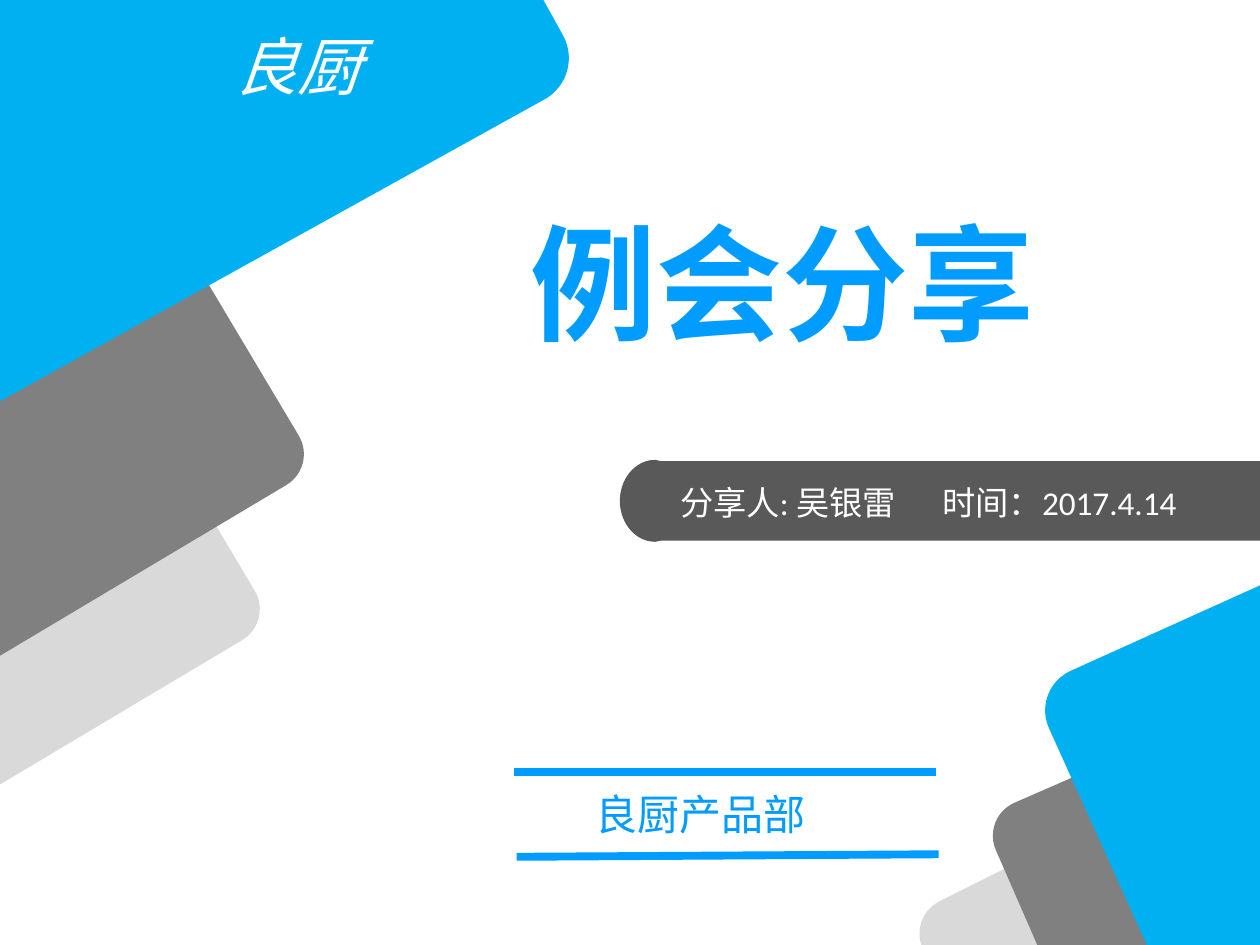
"""Build the opening slide of a team meeting deck."""
import math

from lxml import etree
from pptx import Presentation
from pptx import util as u
from pptx.dml.color import RGBColor
from pptx.enum import shapes, text
from pptx.oxml.ns import qn

COLOURS = {"sky": "00B0F0", "blue": "009CFF", "grey": "808080",
           "pale": "D9D9D9", "dark": "595959", "white": "FFFFFF"}
LATIN, CHINESE = "Calibri", "Noto Sans CJK SC"


def paint(shape, colour):
    """Give a shape a plain fill without outline or shadow."""
    shape.shadow.inherit = False
    shape.fill.solid()
    shape.fill.fore_color.rgb = RGBColor.from_string(COLOURS[colour])
    shape.line.fill.background()


def add_text(slide, box, words, size, colour, bold=False, italic=False, indent=0):
    """Place one line of text in a box and return its paragraph."""
    textbox = slide.shapes.add_textbox(*map(u.Inches, box))
    frame = textbox.text_frame
    frame.word_wrap = True
    frame.margin_top = frame.margin_bottom = frame.margin_right = u.Inches(0.05)
    frame.margin_left = u.Inches(0.05 + indent)
    frame.text = words
    paragraph = frame.paragraphs[0]
    for run in paragraph.runs:
        font = run.font
        font.size, font.bold, font.italic = u.Pt(size), bold, italic
        font.name = LATIN
        font.color.rgb = RGBColor.from_string(COLOURS[colour])
        etree.SubElement(font._element, qn("a:ea"), typeface=CHINESE)
    return paragraph


def add_tiles(slide, tiles):
    """Draw tilted rounded tiles from back to front."""
    for left, top, width, height, angle, colour in tiles:
        tile = slide.shapes.add_shape(shapes.MSO_SHAPE.ROUNDED_RECTANGLE,
                                      *map(u.Inches, (left, top, width, height)))
        tile.adjustments[0] = 0.111
        tile.rotation = angle
        paint(tile, colour)


def add_presenter_bar(slide, left, top, width, height):
    """Draw the bar with a rounded left end and the presenter line."""
    radius_x, radius_y = 0.28, height / 2
    outline = [(left + radius_x - radius_x * math.sin(math.radians(degree)),
                top + radius_y - radius_y * math.cos(math.radians(degree)))
               for degree in range(0, 181, 5)]
    right, bottom = left + width, top + height
    outline += [(left + 0.33, bottom - 0.01), (right, bottom - 0.01),
                (right, top + 0.01), (left + 0.33, top + 0.01)]
    points = [(u.Inches(x), u.Inches(y)) for x, y in outline]
    builder = slide.shapes.build_freeform(*points[0])
    builder.add_line_segments(points[1:], close=True)
    paint(builder.convert_to_shape(), "dark")
    paragraph = add_text(slide, (left + 0.43, top + 0.13, 4.15, 0.46),
                         "分享人: 吴银雷\t时间：2017.4.14", 19, "white")
    properties = paragraph._p.get_or_add_pPr()
    tabs = etree.SubElement(properties, qn("a:tabLst"))
    etree.SubElement(tabs, qn("a:tab"), pos=str(u.Inches(2.08)), algn="l")


def add_department(slide, left, top, width):
    """Write the department name between two rules."""
    add_text(slide, (left + 0.02, top + 0.08, width, 0.56), "良厨产品部", 24, "blue", indent=0.58)
    for start_x, start_y, end_y in ((left, top, top), (left + 0.02, top + 0.67, top + 0.65)):
        rule = slide.shapes.add_connector(
            shapes.MSO_CONNECTOR.STRAIGHT,
            *map(u.Inches, (start_x, start_y, start_x + width, end_y)))
        rule.line.color.rgb = RGBColor.from_string(COLOURS["blue"])
        rule.line.width = u.Pt(4.5)
        etree.SubElement(rule._element.spPr, qn("a:effectLst"))


def add_title(slide, box):
    """Write the large centred title."""
    paragraph = add_text(slide, box, "例会分享", 72, "blue", bold=True)
    paragraph.alignment = text.PP_ALIGN.CENTER
    paragraph.line_spacing = 1.2


def build():
    """Compose the slide and save it."""
    presentation = Presentation()
    presentation.slide_width, presentation.slide_height = u.Inches(10), u.Inches(7.5)
    slide = presentation.slides.add_slide(presentation.slide_layouts[6])
    add_presenter_bar(slide, 4.92, 3.65, 5.26, 0.65)
    add_tiles(slide, [
        (7.58, 6.32, 3.69, 2.57, 333.4, "pale"),
        (8.15, 5.64, 3.69, 2.57, 336.4, "grey"),
        (-1.92, 3.49, 3.69, 2.57, 329.2, "pale"),
        (-1.57, 2.26, 3.69, 2.57, 329.2, "grey"),
        (-1.55, -1.17, 5.74, 3.38, 331, "sky"),
        (8.63, 4.44, 4.32, 3.1, 335.7, "sky"),
    ])
    add_title(slide, (3.18, 1.34, 6.06, 1.49))
    add_department(slide, 4.08, 6.13, 3.35)
    add_text(slide, (1.81, 0.17, 2.36, 0.79), "良厨", 36, "white", italic=True)
    presentation.save("out.pptx")


build()
